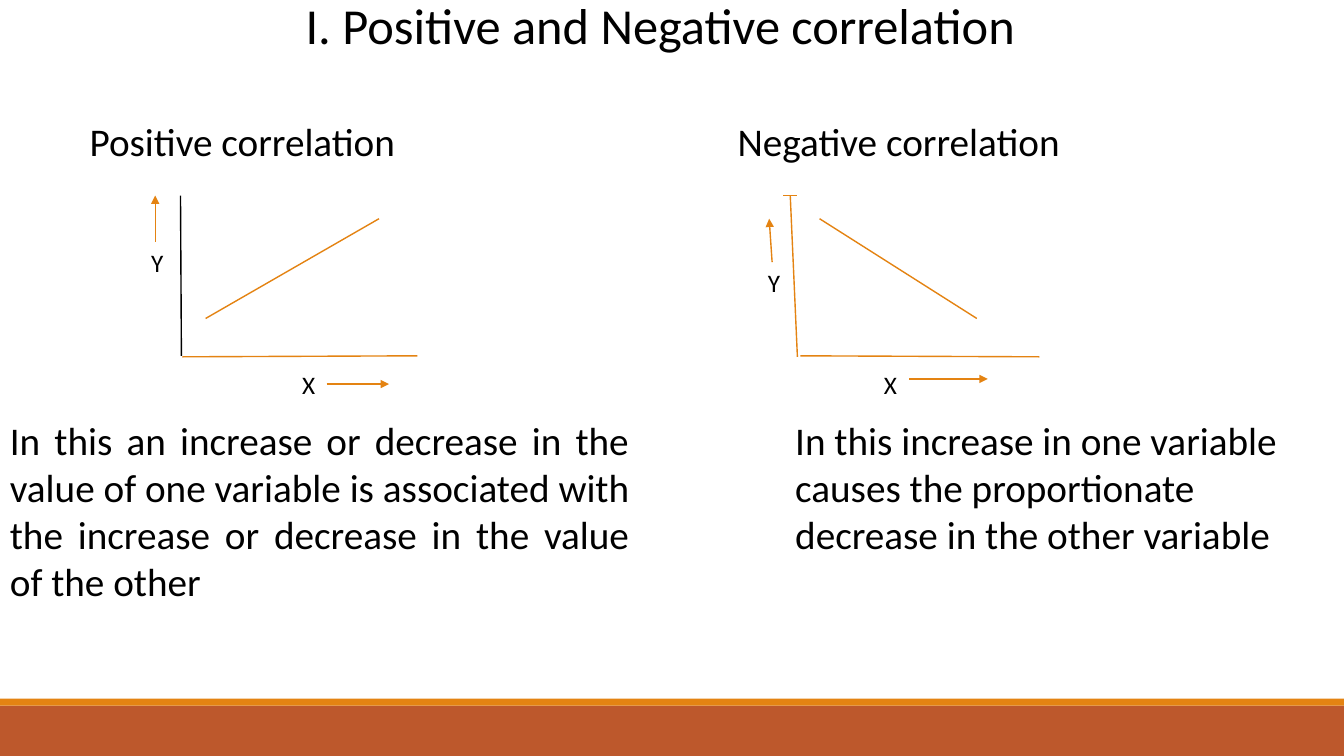
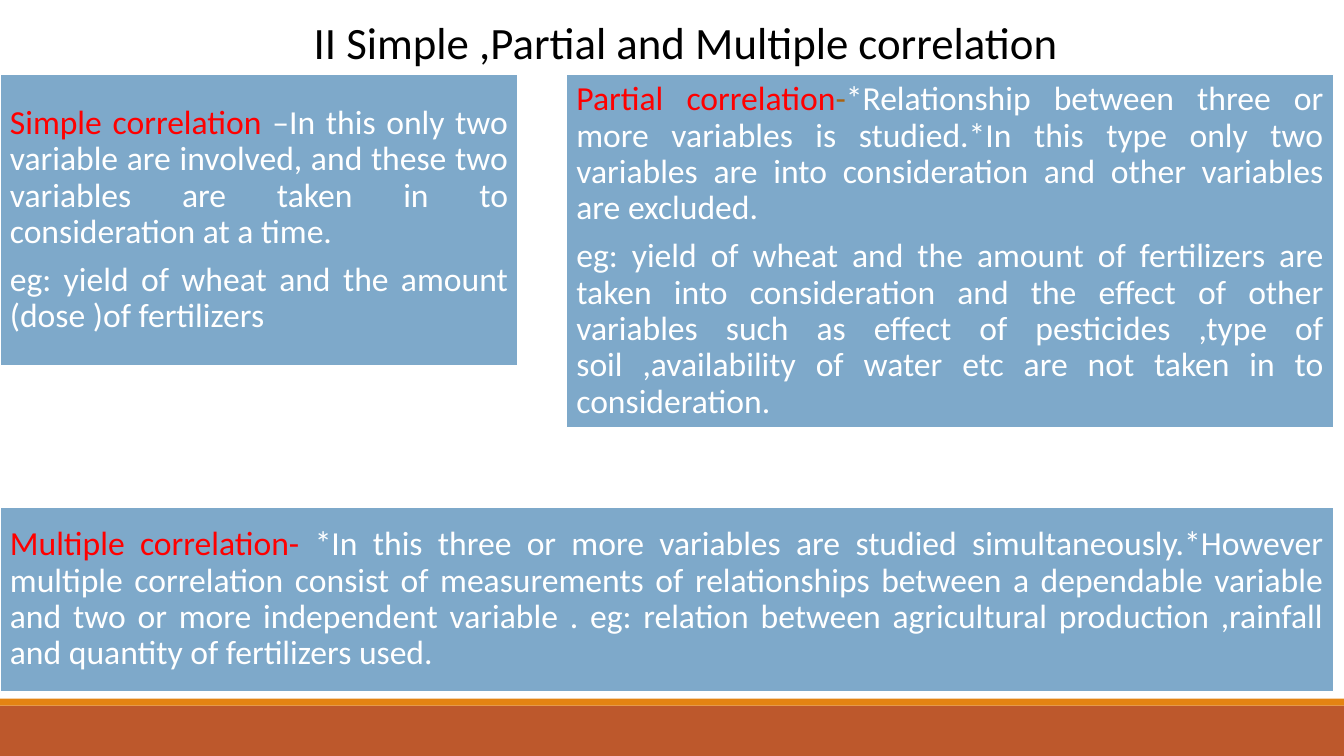
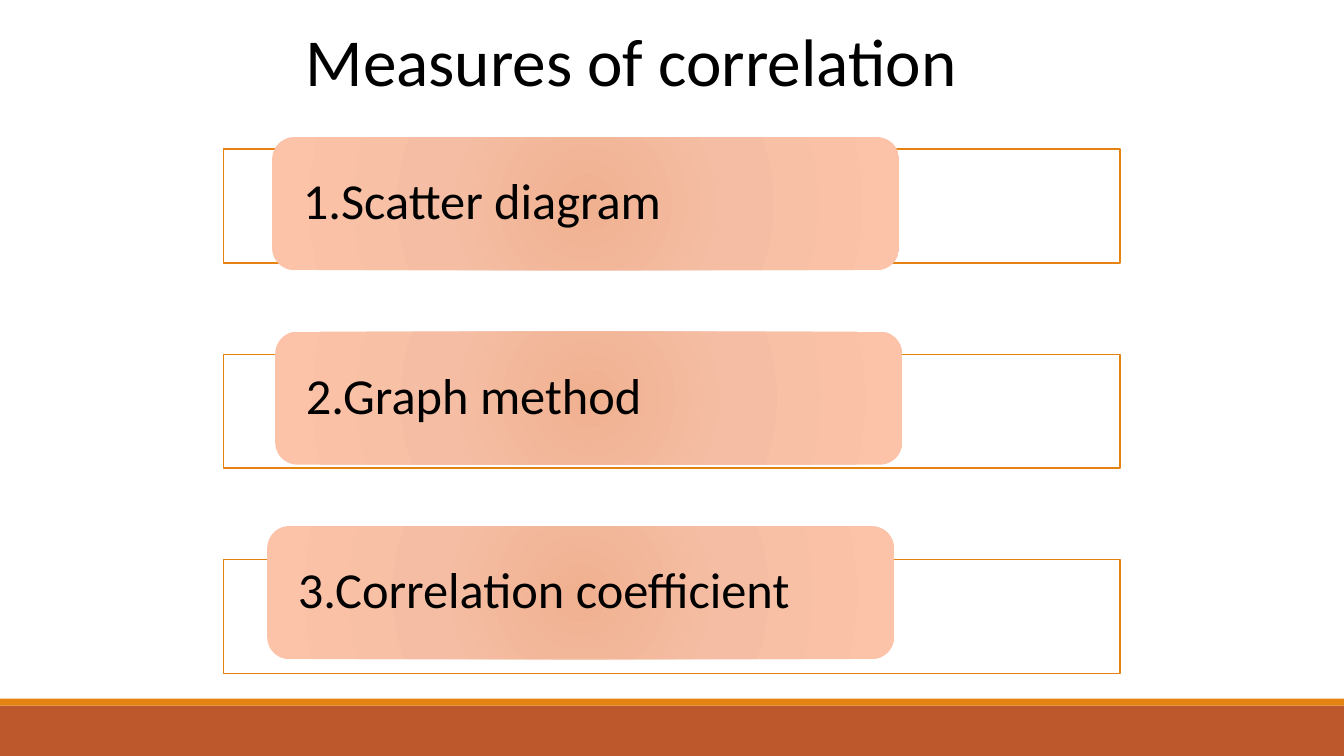
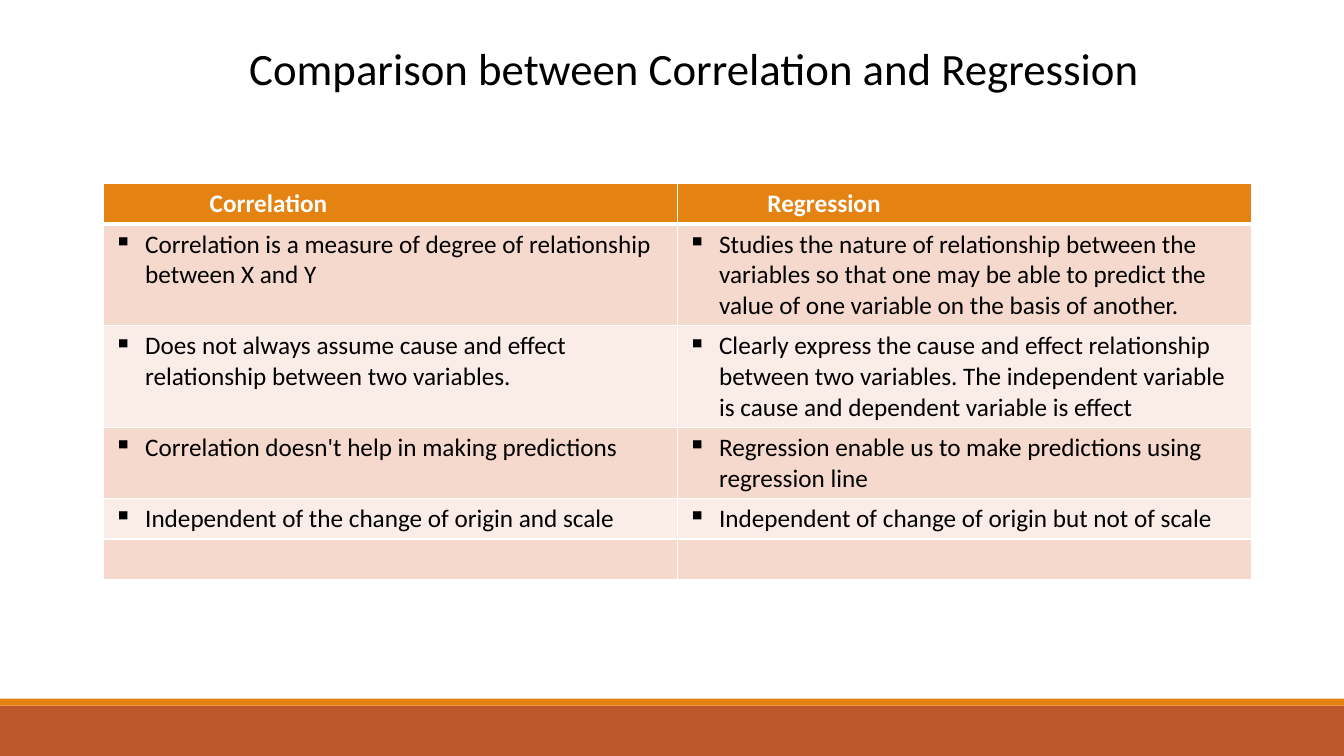
from lxml.etree import SubElement
from pptx import Presentation
from pptx.dml.color import RGBColor
from pptx.enum.shapes import MSO_CONNECTOR, MSO_SHAPE
from pptx.enum.text import MSO_ANCHOR, MSO_AUTO_SIZE, PP_ALIGN
from pptx.oxml import parse_xml
from pptx.oxml.ns import nsdecls, qn
from pptx.util import Inches, Pt

FONT = "Calibri"
BLACK, WHITE, RED = "000000", "FFFFFF", "FF0000"
ORANGE, RUST, BROWN, BLUE = "E48312", "BD582C", "AB620D", "7EA9CA"
BAND_DARK, BAND_LIGHT = "F5D9CC", "FAEDE7"
PILL_STOPS = [(0, "F0B191"), (45, "F5BEA4"), (100, "FDC3A8")]


def rgb(value):
    return RGBColor.from_string(value)


def write(tf, *paragraphs, size=18, color=BLACK, bold=False, align=PP_ALIGN.LEFT,
          line=None, gap=0, bullet=None):
    """Fill a text frame; a paragraph is a string or a list of (text, colour)."""
    tf.word_wrap = True
    for i, runs in enumerate(paragraphs):
        p = tf.paragraphs[0] if i == 0 else tf.add_paragraph()
        p.alignment = align
        if line:
            p.line_spacing = line
        if i:
            p.space_before = Pt(gap)
        if bullet:
            pPr = p._p.get_or_add_pPr()
            pPr.set("marL", str(Inches(0.31)))
            pPr.set("indent", str(-Inches(0.31)))
            SubElement(pPr, qn("a:buChar"), char=bullet)
        for text, run_color in [(runs, color)] if isinstance(runs, str) else runs:
            r = p.add_run()
            r.text = text
            r.font.name, r.font.size, r.font.bold = FONT, Pt(size), bold
            r.font.color.rgb = rgb(run_color)


def set_borders(cell, top=1, bottom=1):
    """White cell borders, widths in points."""
    tcPr = cell._tc.get_or_add_tcPr()
    for i, (side, width) in enumerate(zip("LRTB", (1, 1, top, bottom))):
        tcPr.insert(i, parse_xml(
            f'<a:ln{side} {nsdecls("a")} w="{Pt(width)}"><a:solidFill>'
            f'<a:srgbClr val="{WHITE}"/></a:solidFill></a:ln{side}>'))


class Deck:
    """Style and current slide; all lengths are percent of the slide's size."""

    def __init__(self):
        self.prs = Presentation()
        self.prs.slide_width, self.prs.slide_height = Inches(13.33), Inches(7.5)
        self.s = None

    def x(self, share):
        return round(self.prs.slide_width * share / 100)

    def y(self, share):
        return round(self.prs.slide_height * share / 100)

    def box(self, x, y, w, h):
        return self.x(x), self.y(y), self.x(w), self.y(h)

    def slide(self, title, x, y, w, size):
        self.s = self.prs.slides.add_slide(self.prs.slide_layouts[6])
        self.shape((0, 93.33, 100, 6.67), RUST)
        self.shape((0, 92.4, 100, 0.93), ORANGE)
        self.text((x, y, w, size / 4), title, size=size)

    def shape(self, at, fill=None, line=None, width=1, kind=MSO_SHAPE.RECTANGLE):
        sp = self.s.shapes.add_shape(kind, *self.box(*at))
        sp.shadow.inherit = False
        if fill:
            sp.fill.solid()
            sp.fill.fore_color.rgb = rgb(fill)
        if line:
            sp.line.color.rgb = rgb(line)
            sp.line.width = Pt(width)
        else:
            sp.line.fill.background()
        return sp

    def text(self, at, *paragraphs, **style):
        tf = self.s.shapes.add_textbox(*self.box(*at)).text_frame
        write(tf, *paragraphs, **style)
        tf.auto_size = MSO_AUTO_SIZE.SHAPE_TO_FIT_TEXT

    def line(self, x1, y1, x2, y2, color=ORANGE, arrow=False):
        c = self.s.shapes.add_connector(MSO_CONNECTOR.STRAIGHT, self.x(x1), self.y(y1),
                                        self.x(x2), self.y(y2))
        c.line.color.rgb = rgb(color)
        c.line.width = Pt(1)
        if arrow:
            SubElement(c.line._get_or_add_ln(), qn("a:tailEnd"), type="triangle")
        SubElement(c._element.spPr, qn("a:effectLst"))

    def card(self, at, *paragraphs):
        tf = self.shape(at, BLUE, WHITE, 1.25).text_frame
        tf.vertical_anchor = MSO_ANCHOR.MIDDLE
        tf.margin_top = tf.margin_bottom = Inches(0.1)
        write(tf, *paragraphs, size=24, color=WHITE, align=PP_ALIGN.JUSTIFY,
              line=0.9, gap=8.5)

    def frame(self, at):
        """Outlined row with a slightly transparent white fill."""
        sp = self.shape(at, WHITE, ORANGE)
        color = sp._element.spPr.find(qn("a:solidFill"))[0]
        SubElement(color, qn("a:alpha"), val="90000")

    def pill(self, at, label):
        """Rounded box with a radial gradient."""
        sp = self.shape(at, kind=MSO_SHAPE.ROUNDED_RECTANGLE)
        stops = "".join(f'<a:gs pos="{pos * 1000}"><a:srgbClr val="{color}"/></a:gs>'
                        for pos, color in PILL_STOPS)
        sp._element.spPr.find(qn("a:prstGeom")).addnext(parse_xml(
            f'<a:gradFill {nsdecls("a")}><a:gsLst>{stops}</a:gsLst><a:path path="circle">'
            '<a:fillToRect l="50000" t="50000" r="50000" b="50000"/></a:path></a:gradFill>'))
        tf = sp.text_frame
        tf.margin_left = tf.margin_right = Inches(0.24)
        tf.vertical_anchor = MSO_ANCHOR.MIDDLE
        write(tf, label, size=36, line=0.9)

    def table(self, x, y, w, header, rows):
        """Header cells are (text, left margin in inches); rows are (lines, texts)."""
        heights = [1.35 + 4.03 * lines for lines in [1] + [lines for lines, _ in rows]]
        table = self.s.shapes.add_table(len(heights), len(header),
                                        *self.box(x, y, w, sum(heights))).table
        for row, height in zip(table.rows, heights):
            row.height = self.y(height)
        for col, (label, margin) in enumerate(header):
            cell = table.cell(0, col)
            cell.margin_left = Inches(margin)
            self.cell(cell, ORANGE, label, bottom=3, color=WHITE, bold=True)
        for i, (_, texts) in enumerate(rows, 1):
            for col, text in enumerate(texts):
                self.cell(table.cell(i, col), BAND_DARK if i % 2 else BAND_LIGHT, text,
                          top=3 if i == 1 else 1, bullet="▪")

    def cell(self, cell, fill, text, top=1, bottom=1, **style):
        cell.fill.solid()
        cell.fill.fore_color.rgb = rgb(fill)
        set_borders(cell, top, bottom)
        if text:
            write(cell.text_frame, text, **style)


def correlation_types(d):
    d.slide("I. Positive and Negative correlation", 22, -1.47, 57.8, 36)
    d.text((5.93, 14.8, 38, 7.6), "Positive correlation", size=28)
    d.text((54.15, 14.8, 31.9, 7.6), "Negative correlation", size=28)

    d.line(13.43, 25.87, 13.5, 47.07, BLACK)
    for axis_or_trend in [
        (13.58, 47.2, 31.05, 47.07), (15.3, 42.13, 28.2, 28.93),
        (58.8, 25.87, 59.33, 47.2), (59.55, 47.07, 77.33, 47.2),
        (58.28, 25.87, 59.33, 25.87), (60.98, 28.93, 72.68, 42.13),
    ]:
        d.line(*axis_or_trend)
    for name, at, arrow in [
        ("X", (21.75, 48.13, 10.4, 5.33), (24.3, 50.8, 28.95, 50.8)),
        ("Y", (10.5, 32, 2.2, 5.33), (11.55, 32, 11.55, 25.87)),
        ("X", (65.03, 48.13, 11, 5.33), (67.65, 50.13, 73.5, 50.13)),
        ("Y", (56.4, 34.67, 2.05, 5.33), (57.45, 34.67, 57.23, 28.93)),
    ]:
        d.text(at, name)
        d.line(*arrow, arrow=True)

    d.text((0, 54.4, 47.55, 26.5),
           "In this an increase or decrease in the value of one variable is associated "
           "with the increase or decrease in the value of the other",
           size=28, align=PP_ALIGN.JUSTIFY)
    d.text((58.43, 54.4, 40.65, 20.1),
           "In this increase in one variable causes the proportionate decrease in the "
           "other variable", size=28)


def correlation_kinds(d):
    d.slide("II Simple ,Partial and Multiple correlation", 22.6, 1.33, 76.6, 32)
    d.card((0, 9.87, 38.55, 38.53),
           [("Simple correlation ", RED),
            ("–In this only two variable are involved, and these two variables are taken "
             "in to consideration at a time.", WHITE)],
           "eg: yield of wheat and the amount (dose )of fertilizers")
    d.card((42.15, 9.87, 57.08, 46.67),
           [("Partial correlation", RED), ("-", BROWN),
            ("*Relationship between three or more variables is studied.*In this type only "
             "two variables are into consideration and other variables are excluded.", WHITE)],
           "eg: yield of wheat and the amount of fertilizers are taken into consideration "
           "and the effect of other variables such as effect of pesticides ,type of soil "
           ",availability of water etc are not taken in to consideration.")
    d.card((0, 67.07, 99.23, 24.4),
           [("Multiple correlation- ", RED),
            ("*In this three or more variables are studied simultaneously.*However multiple "
             "correlation consist of measurements of relationships between a dependable "
             "variable and two or more independent variable . eg: relation between "
             "agricultural production ,rainfall and quantity of fertilizers used.", WHITE)])


def measures(d):
    d.slide("Measures of correlation", 22, 1.87, 54.5, 48)
    pills = [(20.25, "1.Scatter diagram"), (20.48, "2.Graph method"),
             (19.88, "3.Correlation coefficient")]
    for i, (x, label) in enumerate(pills):
        d.frame((16.65, 19.73 + 27.13 * i, 66.68, 15.07))
        d.pill((x, 18.13 + 25.73 * i, 46.65, 17.6), label)


def comparison(d):
    d.slide("Comparison between Correlation and Regression", 17.8, 4.8, 68.6, 32)
    d.table(7.73, 24.27, 85.4, [("Correlation", 1.05), ("Regression", 0.89)], [
        (3, ("Correlation is a measure of degree of relationship between X and Y",
             "Studies the nature of relationship between the variables so that one may be "
             "able to predict the value of one variable on the basis of another.")),
        (3, ("Does not always assume cause and effect relationship between two variables.",
             "Clearly express the cause and effect relationship between two variables. The "
             "independent variable is cause and dependent variable is effect")),
        (2, ("Correlation doesn't help in making predictions",
             "Regression enable us to make predictions using regression line")),
        (1, ("Independent of the change of origin and scale",
             "Independent of change of origin but not of scale")),
        (1, ("", "")),
    ])


def main():
    d = Deck()
    for build in (correlation_types, correlation_kinds, measures, comparison):
        build(d)
    d.prs.save("out.pptx")


if __name__ == "__main__":
    main()
